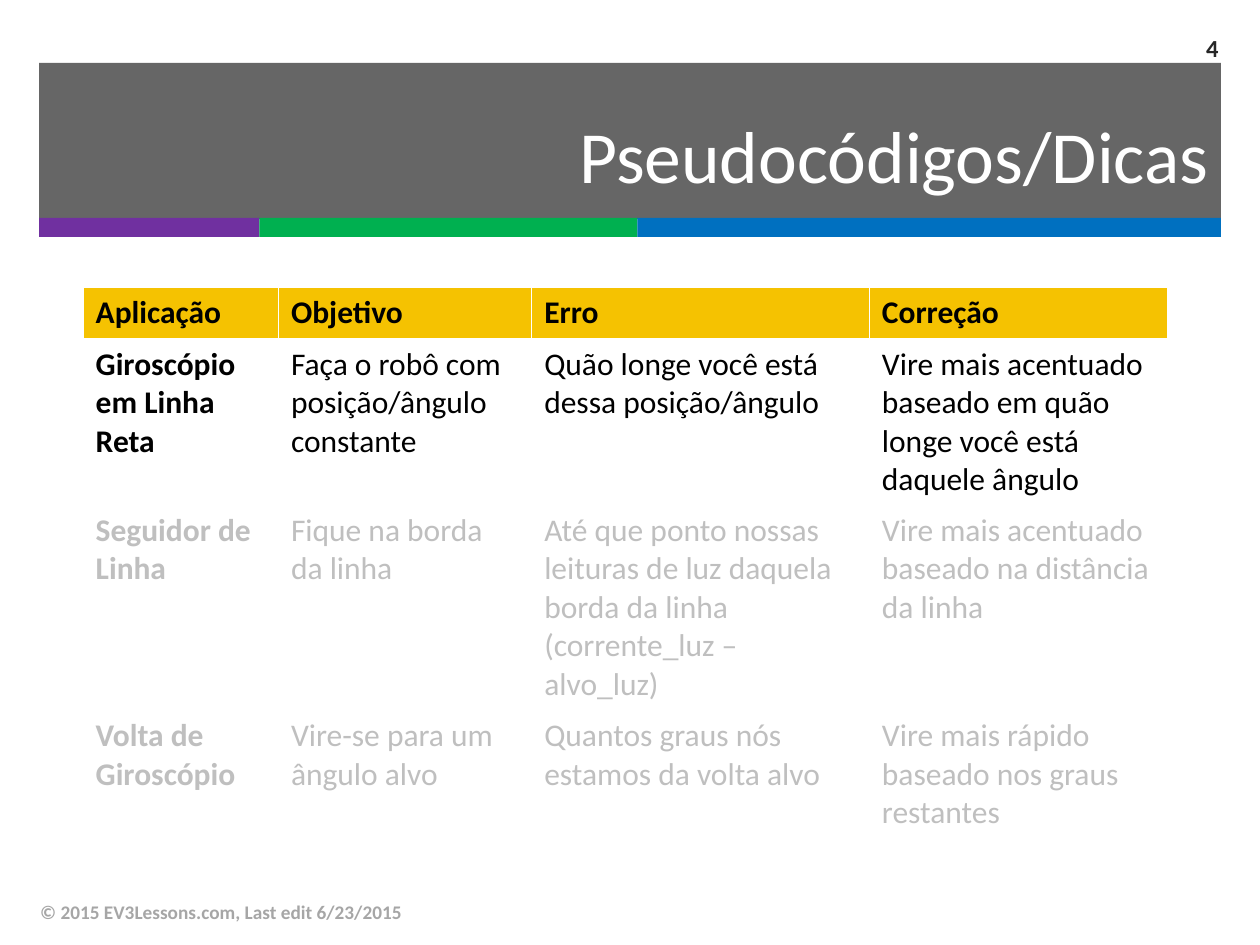
from lxml import etree
from pptx import Presentation
from pptx.dml.color import RGBColor
from pptx.enum.shapes import MSO_SHAPE
from pptx.enum.text import MSO_ANCHOR, PP_ALIGN
from pptx.oxml.ns import qn
from pptx.util import Inches, Pt

RECTANGLE = MSO_SHAPE.RECTANGLE
MIDDLE = MSO_ANCHOR.MIDDLE
LEFT, RIGHT = PP_ALIGN.LEFT, PP_ALIGN.RIGHT

BLACK = RGBColor(0x00, 0x00, 0x00)
WHITE = RGBColor(0xFF, 0xFF, 0xFF)
CHARCOAL = RGBColor(0x26, 0x26, 0x26)
GRAY = RGBColor(0xA6, 0xA6, 0xA6)
FADED = RGBColor(0xBF, 0xBF, 0xBF)
PURPLE = RGBColor(0x70, 0x30, 0xA0)
GREEN = RGBColor(0x00, 0xB0, 0x50)
BLUE = RGBColor(0x00, 0x70, 0xC0)
YELLOW = RGBColor(0xF5, 0xC2, 0x01)

MARGIN = 0.31
STRIPES = [(1.75, PURPLE), (3, GREEN), (4.63, BLUE)]
COLUMN_WIDTHS = [1.55, 2.01, 2.68, 2.37]
ROW_HEIGHTS = [0.41, 1.32, 1.63, 1.02]
ROW_COLORS = [BLACK, BLACK, FADED, FADED]
ROWS = [
    ["Aplicação", "Objetivo", "Erro", "Correção"],
    [
        "Giroscópio em Linha Reta",
        "Faça o robô com posição/ângulo constante",
        "Quão longe você está dessa posição/ângulo",
        "Vire mais acentuado baseado em quão longe você está daquele ângulo",
    ],
    [
        "Seguidor de Linha",
        "Fique na borda da linha",
        "Até que ponto nossas leituras de luz daquela borda da linha\v"
        "(corrente_luz – alvo_luz)",
        "Vire mais acentuado baseado na distância da linha",
    ],
    [
        "Volta de Giroscópio",
        "Vire-se para um ângulo alvo",
        "Quantos graus nós estamos da volta alvo",
        "Vire mais rápido baseado nos graus restantes",
    ],
]


class SlideBuilder:
    font_name = "Calibri"

    def __init__(self, slide):
        self.slide = slide

    def style_text(self, frame, text, size, color, bold=False, align=LEFT):
        frame.word_wrap = True
        frame.text = text
        para = frame.paragraphs[0]
        para.alignment = align
        for span in para.runs:
            span.font.name = self.font_name
            span.font.size = Pt(size)
            span.font.bold = bold
            span.font.color.rgb = color

    def bar(self, left, top, width, height, color, opacity=100):
        shape = self.slide.shapes.add_shape(
            RECTANGLE, Inches(left), Inches(top), Inches(width), Inches(height)
        )
        shape.shadow.inherit = False
        shape.fill.solid()
        shape.fill.fore_color.rgb = color
        shape.line.fill.background()
        if opacity < 100:
            tint = shape.element.spPr.find(f"{qn('a:solidFill')}/{qn('a:srgbClr')}")
            etree.SubElement(tint, qn("a:alpha"), val=str(opacity * 1000))

    def text(self, left, top, width, height, text, size, color, bold=False, align=LEFT):
        box = self.slide.shapes.add_textbox(
            Inches(left), Inches(top), Inches(width), Inches(height)
        )
        box.text_frame.vertical_anchor = MIDDLE
        self.style_text(box.text_frame, text, size, color, bold, align)

    def table(self, left, top, rows, widths, heights, colors):
        table = self.slide.shapes.add_table(
            len(rows), len(widths), Inches(left), Inches(top),
            Inches(sum(widths)), Inches(sum(heights)),
        ).table
        table.first_row = table.horz_banding = False
        for column, width in zip(table.columns, widths):
            column.width = Inches(width)
        for i, (texts, height, color) in enumerate(zip(rows, heights, colors)):
            table.rows[i].height = Inches(height)
            for j, text in enumerate(texts):
                cell = table.cell(i, j)
                if i == 0:
                    cell.fill.solid()
                    cell.fill.fore_color.rgb = YELLOW
                else:
                    cell.fill.background()
                self.style_text(cell.text_frame, text, 18, color, bold=i == 0 or j == 0)


def main():
    deck = Presentation()
    deck.slide_width, deck.slide_height = Inches(10), Inches(7.5)
    page = SlideBuilder(deck.slides.add_slide(deck.slide_layouts[6]))

    page.bar(MARGIN, 0.5, 9.38, 1.24, CHARCOAL, opacity=70)
    left = MARGIN
    for width, color in STRIPES:
        page.bar(left, 1.73, width, 0.15, color)
        left += width

    page.text(MARGIN, 0.69, 9.38, 1.06, "Pseudocódigos/Dicas", 42, WHITE, align=RIGHT)
    page.text(0.22, 7.04, 6.7, 0.4, "© 2015 EV3Lessons.com, Last edit 6/23/2015",
              11, GRAY, bold=True)
    page.table(0.66, 2.28, ROWS, COLUMN_WIDTHS, ROW_HEIGHTS, ROW_COLORS)
    page.text(9.08, 0.18, 0.69, 0.39, "4", 14, CHARCOAL, bold=True, align=RIGHT)

    deck.save("out.pptx")


if __name__ == "__main__":
    main()
